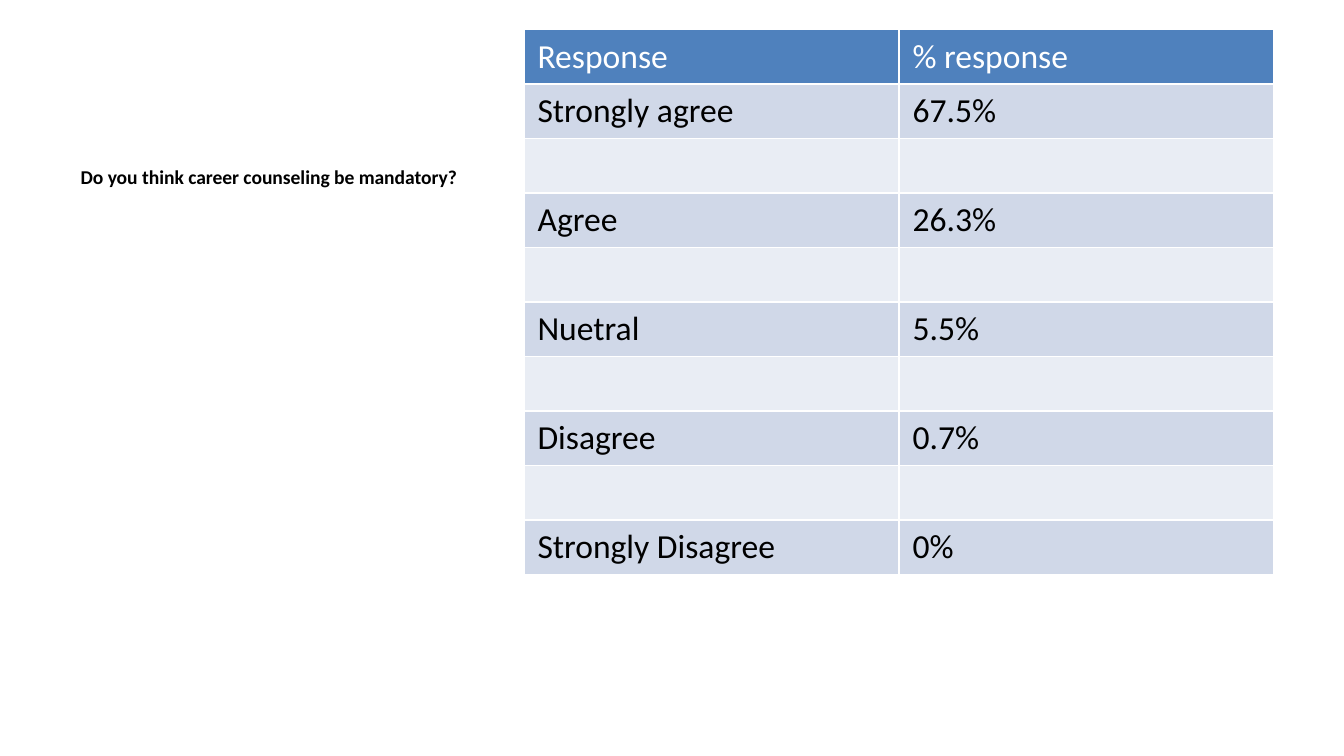
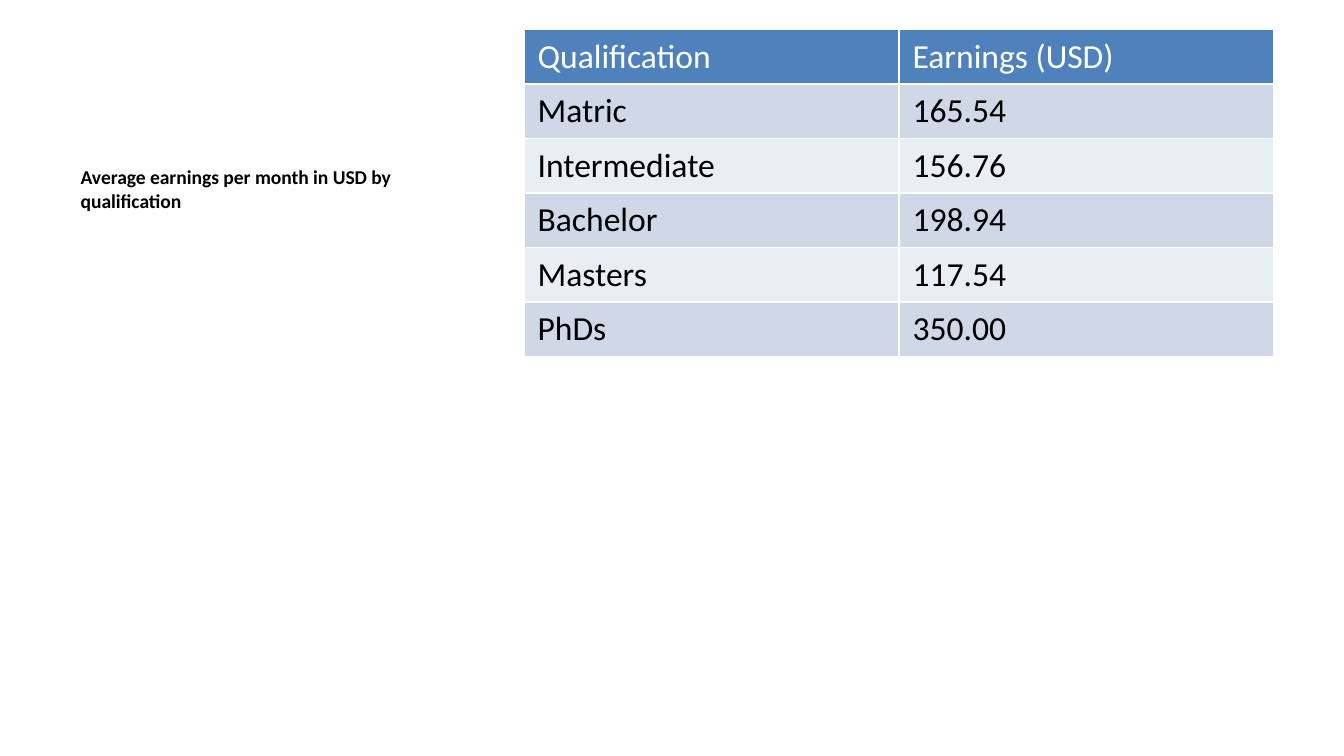
"""Build two survey result slides, each with a heading and a two-column table."""
from dataclasses import dataclass

from pptx import Presentation
from pptx.dml.color import RGBColor
from pptx.enum.text import MSO_ANCHOR, MSO_AUTO_SIZE, PP_ALIGN
from pptx.presentation import Presentation as Deck
from pptx.slide import Slide
from pptx.text.text import _Paragraph
from pptx.util import Inches, Pt

TOP = MSO_ANCHOR.TOP
NO_AUTOFIT = MSO_AUTO_SIZE.NONE
LEFT = PP_ALIGN.LEFT

WHITE = RGBColor(0xFF, 0xFF, 0xFF)
BLACK = RGBColor(0x00, 0x00, 0x00)
HEADER_BLUE = RGBColor(0x4F, 0x81, 0xBD)
BANDS = (RGBColor(0xE9, 0xED, 0xF4), RGBColor(0xD0, 0xD8, 0xE8))

FONT = "Calibri"
TITLE_ONLY = 5
SLIDE_WIDTH = Inches(10)
SLIDE_HEIGHT = SLIDE_WIDTH * 9 // 16
COLUMN_WIDTH = Inches(2.79)
ROW_HEIGHT = Inches(0.4)
BLANK_ROW = ("", "")


@dataclass(frozen=True)
class Survey:
    """A heading with the rows of its table, header first."""

    heading: str
    rows: tuple[tuple[str, str], ...]


SURVEYS = (
    Survey(
        "Do you think career counseling be mandatory?",
        (
            ("Response", "% response"),
            ("Strongly agree", "67.5%"),
            BLANK_ROW,
            ("Agree", "26.3%"),
            BLANK_ROW,
            ("Nuetral", "5.5%"),
            BLANK_ROW,
            ("Disagree", "0.7%"),
            BLANK_ROW,
            ("Strongly Disagree", "0%"),
        ),
    ),
    Survey(
        "Average earnings per month in USD by qualification",
        (
            ("Qualification", "Earnings (USD)"),
            ("Matric", "165.54"),
            ("Intermediate", "156.76"),
            ("Bachelor", "198.94"),
            ("Masters", "117.54"),
            ("PhDs", "350.00"),
        ),
    ),
)


def set_font(paragraph: _Paragraph, size: float, color: RGBColor, bold: bool) -> None:
    """Format a whole paragraph."""
    font = paragraph.font
    font.name = FONT
    font.size = Pt(size)
    font.bold = bold
    font.color.rgb = color


def add_heading(slide: Slide, text: str) -> None:
    """Place the heading left of the table."""
    heading = slide.shapes.title
    heading.left, heading.top = Inches(0.5), Inches(1.18)
    heading.width, heading.height = Inches(3.29), Inches(3.85)
    frame = heading.text_frame
    frame.text = text
    frame.word_wrap = True
    frame.auto_size = NO_AUTOFIT
    frame.vertical_anchor = TOP
    paragraph = frame.paragraphs[0]
    paragraph.alignment = LEFT
    paragraph.space_before = Pt(30)
    set_font(paragraph, 10.5, BLACK, True)


def add_results(slide: Slide, rows: tuple[tuple[str, str], ...]) -> None:
    """Draw the banded table of results."""
    columns = len(rows[0])
    table = slide.shapes.add_table(
        len(rows), columns, Inches(3.9), Inches(0.22),
        COLUMN_WIDTH * columns, ROW_HEIGHT * len(rows),
    ).table
    for row_index, row in enumerate(rows):
        is_header = row_index == 0
        for column_index, text in enumerate(row):
            cell = table.cell(row_index, column_index)
            cell.text = text
            cell.fill.solid()
            cell.fill.fore_color.rgb = HEADER_BLUE if is_header else BANDS[row_index % 2]
            set_font(cell.text_frame.paragraphs[0], 18, WHITE if is_header else BLACK, False)


def add_survey(deck: Deck, survey: Survey) -> None:
    """Add the slide of one survey."""
    slide = deck.slides.add_slide(deck.slide_layouts[TITLE_ONLY])
    add_heading(slide, survey.heading)
    add_results(slide, survey.rows)


def main() -> None:
    """Build and save the deck."""
    deck = Presentation()
    deck.slide_width, deck.slide_height = SLIDE_WIDTH, SLIDE_HEIGHT
    for survey in SURVEYS:
        add_survey(deck, survey)
    deck.save("out.pptx")


if __name__ == "__main__":
    main()
